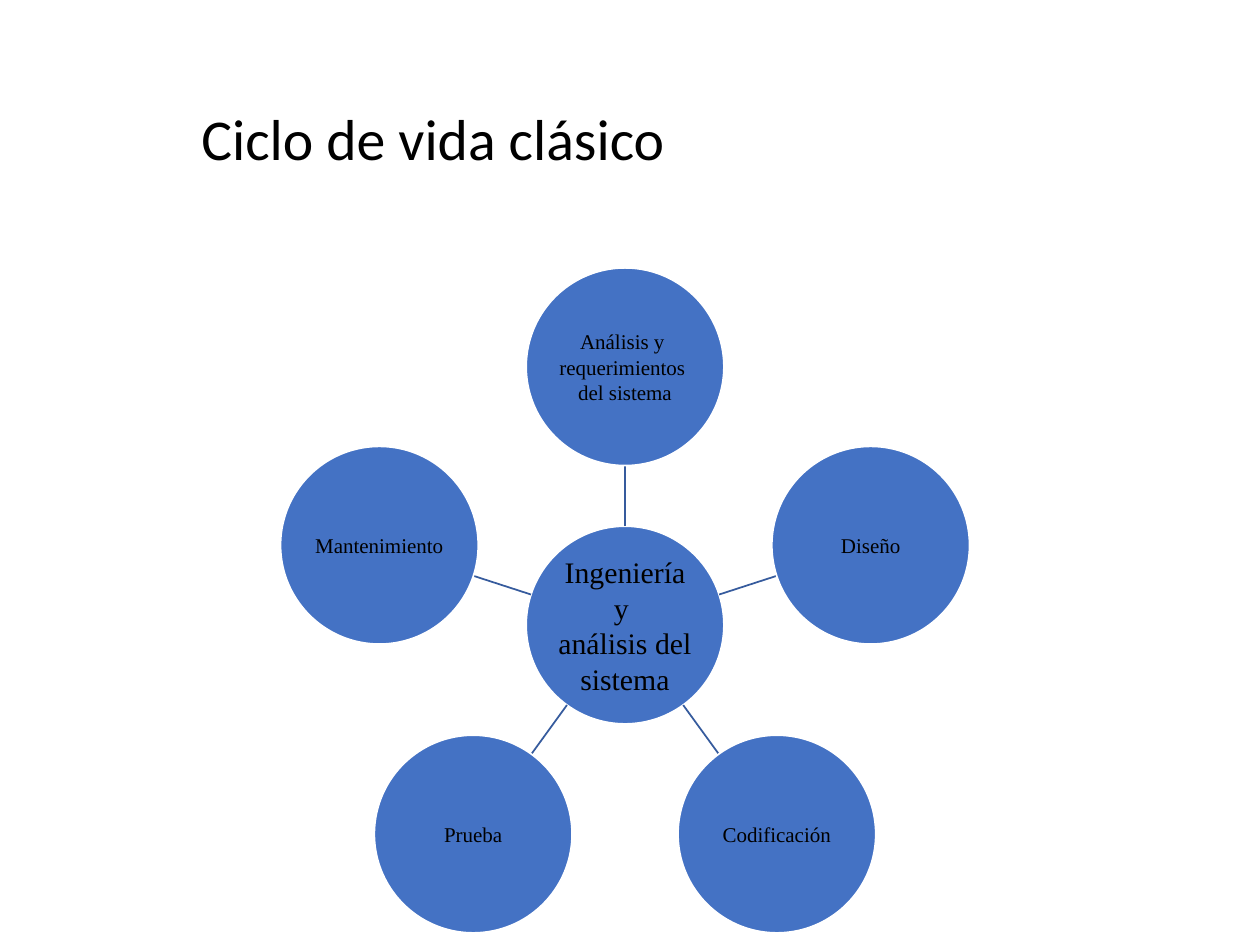
from math import cos, sin, radians
from lxml import etree
from pptx import Presentation
from pptx.dml.color import RGBColor
from pptx.enum.shapes import MSO_CONNECTOR, MSO_SHAPE
from pptx.enum.text import MSO_ANCHOR, PP_ALIGN
from pptx.oxml.ns import qn
from pptx.util import Pt

OVAL = MSO_SHAPE.OVAL
LINE = MSO_CONNECTOR.STRAIGHT
MIDDLE = MSO_ANCHOR.MIDDLE
LEFT, CENTER = PP_ALIGN.LEFT, PP_ALIGN.CENTER
COLORS = {"text": "000000", "disc": "4472C4", "edge": "FFFFFF", "spoke": "365B9D"}
SERIF, SANS = "Times New Roman", "Calibri"

HUB = ["Ingeniería y ", "análisis del ", "sistema"]
STEPS = [
    ["Análisis y ", "requerimientos ", "del sistema"],
    ["Diseño"],
    ["Codificación"],
    ["Prueba"],
    ["Mantenimiento"],
]


def color(name):
    return RGBColor.from_string(COLORS[name])


def write(frame, lines, size, font, align):
    frame.word_wrap = True
    frame.vertical_anchor = MIDDLE
    frame.text = "\n".join(lines)
    for para in frame.paragraphs:
        para.alignment = align
        for run in para.runs:
            run.font.size = Pt(size)
            run.font.name = font
            run.font.color.rgb = color("text")


def add_title(slide, text, x, y, w, h):
    frame = slide.shapes.add_textbox(Pt(x), Pt(y), Pt(w), Pt(h)).text_frame
    write(frame, [text], 33, SANS, LEFT)
    frame.paragraphs[0].line_spacing = 0.9


def add_disc(slide, lines, x, y, diam, size):
    """Disc with its label, centred on x, y."""
    disc = slide.shapes.add_shape(
        OVAL, Pt(x - diam / 2), Pt(y - diam / 2), Pt(diam), Pt(diam))
    disc.shadow.inherit = False
    disc.fill.solid()
    disc.fill.fore_color.rgb = color("disc")
    disc.line.color.rgb = color("edge")
    disc.line.width = Pt(1)
    frame = disc.text_frame
    frame.margin_left = frame.margin_right = Pt(0.7)
    frame.margin_top = frame.margin_bottom = Pt(0.7)
    write(frame, lines, size, SERIF, CENTER)


def add_spoke(slide, start, end):
    ends = [Pt(v) for v in (*start, *end)]
    spoke = slide.shapes.add_connector(LINE, *ends)
    spoke.line.color.rgb = color("spoke")
    spoke.line.width = Pt(1)
    etree.SubElement(spoke._element.spPr, qn("a:effectLst"))


def add_wheel(slide, x, y, radius, diam):
    """Hub at x, y with the steps evenly spaced clockwise from the top."""
    add_disc(slide, HUB, x, y, diam, 17)
    for i, lines in enumerate(STEPS):
        angle = radians(360 / len(STEPS) * i - 90)

        def point(dist):
            return x + dist * cos(angle), y + dist * sin(angle)

        add_spoke(slide, point(diam / 2), point(radius - diam / 2))
        add_disc(slide, lines, *point(radius), diam, 12)


deck = Presentation()
deck.slide_width, deck.slide_height = Pt(720), Pt(540)
slide = deck.slides.add_slide(deck.slide_layouts[6])

# Title
add_title(slide, "Ciclo de vida clásico", 108, 36, 612, 90)

# Life cycle wheel
add_wheel(slide, 357.2, 357.2, 147.6, 113)

deck.save("out.pptx")
